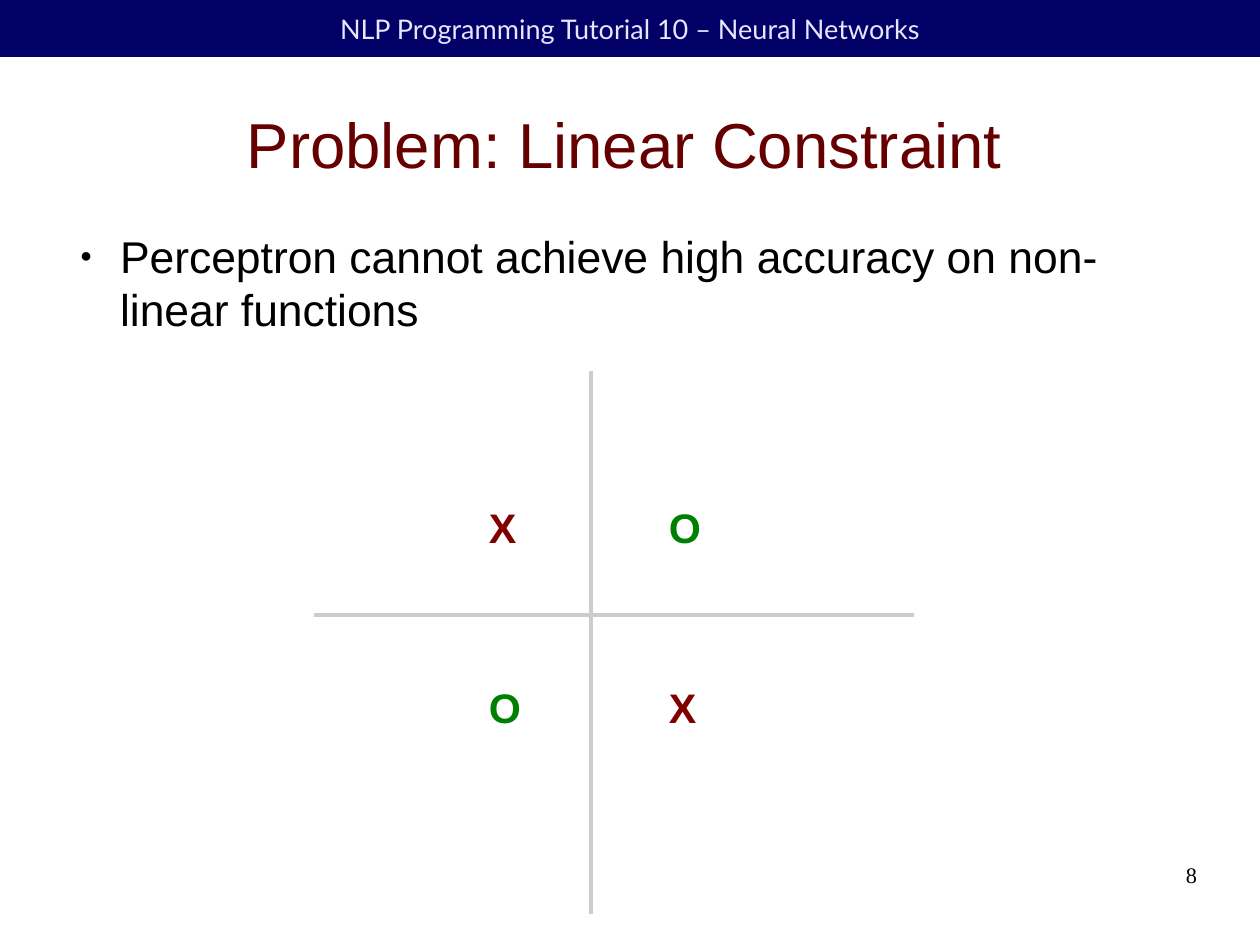
import pptx
import pptx.util
import pptx.dml.color
import pptx.enum.shapes
import pptx.enum.text
import pptx.oxml
import pptx.oxml.ns

PX = 8000  # EMU per pixel
COLORS = {"navy": "000066", "lavender": "E6E6FF", "title": "660000", "black": "000000",
          "X": "800000", "O": "008000", "axis": "CCCCCC"}
ALIGN = pptx.enum.text.PP_ALIGN
ANCHOR = pptx.enum.text.MSO_ANCHOR


def rgb(name):
    return pptx.dml.color.RGBColor.from_string(COLORS[name])


def write(sp, text, size, color, font="Arial", bold=False, align=ALIGN.LEFT,
          anchor=ANCHOR.TOP, inset=(0, 0), wrap=True):
    tf = sp.text_frame
    tf.word_wrap = wrap
    tf.auto_size = pptx.enum.text.MSO_AUTO_SIZE.NONE
    tf.vertical_anchor = anchor
    tf.margin_left = tf.margin_right = inset[0] * PX
    tf.margin_top = tf.margin_bottom = inset[1] * PX
    p = tf.paragraphs[0]
    p.alignment = align
    p.space_before = pptx.util.Pt(0)
    r = p.add_run()
    r.text = text
    r.font.size = pptx.util.Pt(size)
    r.font.name = font
    r.font.bold = bold
    r.font.color.rgb = rgb(color)
    return p


prs = pptx.Presentation()
prs.slide_width, prs.slide_height = 1260 * PX, 945 * PX
slide = prs.slides.add_slide(prs.slide_layouts[1])
shapes = slide.shapes

# Header band
band = shapes.add_shape(pptx.enum.shapes.MSO_SHAPE.RECTANGLE, 0, 0, 1260 * PX, 57 * PX)
band.shadow.inherit = False
band.fill.solid()
band.fill.fore_color.rgb = rgb("navy")
band.line.fill.background()
write(band, "NLP Programming Tutorial 10 – Neural Networks", 17, "lavender", font="Lato",
      align=ALIGN.CENTER, anchor=ANCHOR.MIDDLE, inset=(11, 6))

# Title
title = shapes.title
title.left, title.top, title.width, title.height = 57 * PX, 71 * PX, 1134 * PX, 145 * PX
write(title, "Problem: Linear Constraint", 40, "title", align=ALIGN.CENTER, anchor=ANCHOR.MIDDLE)

# Bullet list
body = slide.placeholders[1]
body.left, body.top, body.width, body.height = 66 * PX, 229 * PX, 1134 * PX, 624 * PX
p = write(body, "Perceptron cannot achieve high accuracy on non-linear functions", 28, "black")
p.space_after = pptx.util.Pt(14.2)
pPr = p._p.get_or_add_pPr()
pPr.set("marL", str(54 * PX))
pPr.set("indent", str(-40 * PX))
ns = pptx.oxml.ns.nsdecls("a")
for xml in (f'<a:buClr {ns}><a:srgbClr val="{COLORS["black"]}"/></a:buClr>',
            f'<a:buSzPct {ns} val="45000"/>',
            f'<a:buChar {ns} char="●"/>'):
    pPr.append(pptx.oxml.parse_xml(xml))

# Class marks in the four quadrants
for row, marks in enumerate(("XO", "OX")):
    for col, mark in enumerate(marks):
        sp = shapes.add_textbox((478 + 180 * col) * PX, (496 + 180 * row) * PX, 54 * PX, 60 * PX)
        write(sp, mark, 26, mark, bold=True, inset=(11, 6), wrap=False)

# Axes
for x1, y1, x2, y2 in ((591, 371, 591, 914), (314, 615, 914, 615)):
    axis = shapes.add_connector(pptx.enum.shapes.MSO_CONNECTOR.STRAIGHT,
                                x1 * PX, y1 * PX, x2 * PX, y2 * PX)
    axis.line.color.rgb = rgb("axis")
    axis.line.width = 0
    axis._element.spPr.append(pptx.oxml.parse_xml(f"<a:effectLst {ns}/>"))

# Slide number
number = shapes.add_textbox(903 * PX, 861 * PX, 294 * PX, 65 * PX)
write(number, "8", 14, "black", font="Times New Roman", align=ALIGN.RIGHT)

prs.save("out.pptx")
